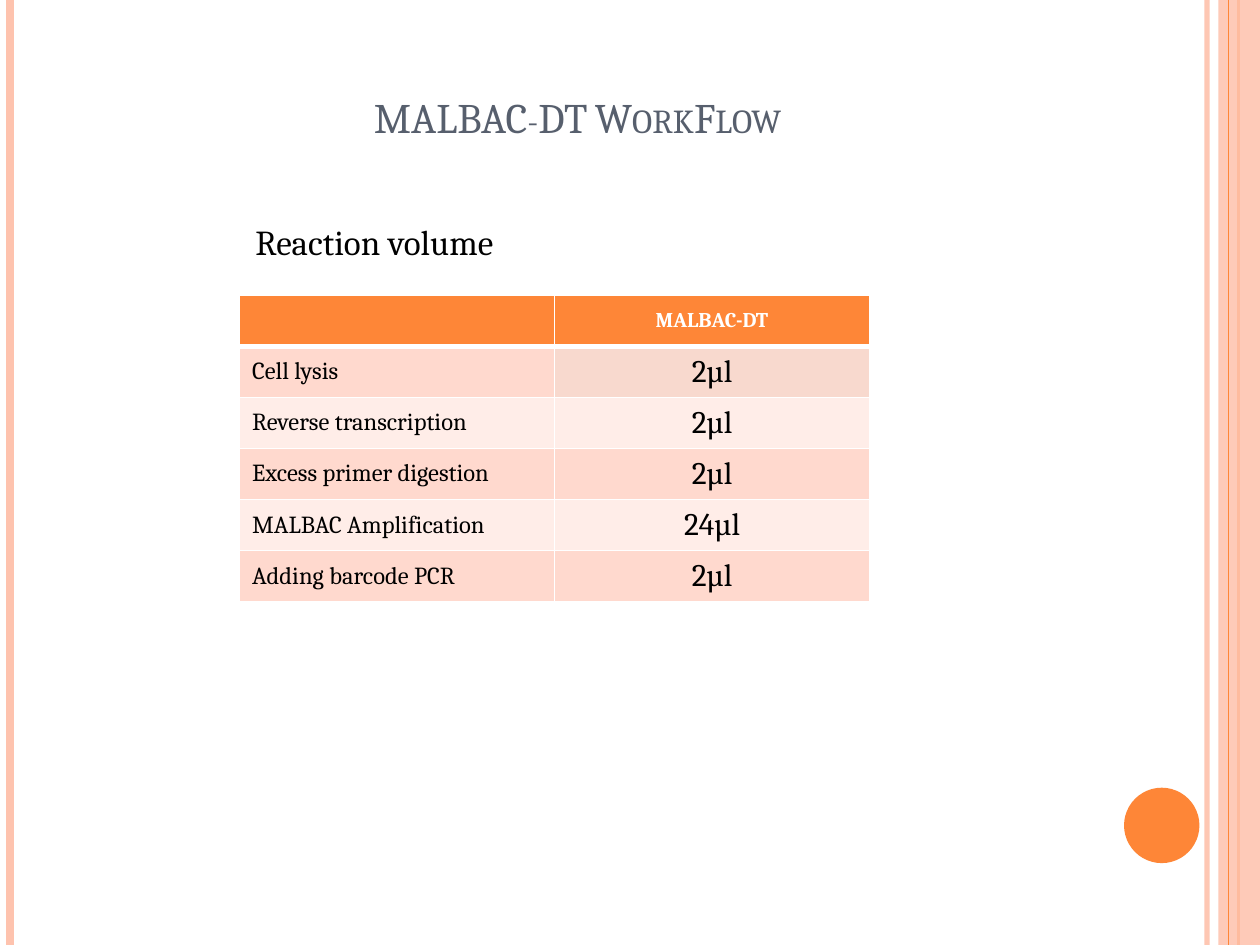
"""Build the MALBAC-DT workflow slide with its reaction volume table."""
from typing import NamedTuple

from lxml.etree import SubElement
from pptx import Presentation
from pptx.dml.color import RGBColor
from pptx.enum.shapes import MSO_CONNECTOR, MSO_SHAPE
from pptx.enum.text import MSO_ANCHOR, PP_ALIGN
from pptx.oxml.ns import qn
from pptx.util import Cm, Pt

FONT = "Cambria"
ORANGE, PEACH, WHITE, BLACK, SLATE = "FE8637", "FEC3AE", "FFFFFF", "000000", "575F6D"
DARK_BAND, LIGHT_BAND, FIRST_VALUE = "FFD9CE", "FFEDE8", "F8D9CE"
WIDTH, HEIGHT = 25.4, 19.05


class Rule(NamedTuple):
    x: float
    color: str
    weight: float
    opacity: int = 100


class Step(NamedTuple):
    name: str
    volume: str


RULES_BEHIND = [
    Rule(24.33, PEACH, 3, 93),
    Rule(0.2, PEACH, 4.5),
    Rule(24.97, ORANGE, 1.5),
]
RULE_FRONT = Rule(24.76, ORANGE, 0.75)
STEPS = [
    Step("Cell lysis", "2µl"),
    Step("Reverse transcription", "2µl"),
    Step("Excess primer digestion", "2µl"),
    Step("MALBAC Amplification", "24µl"),
    Step("Adding barcode PCR", "2µl"),
]


def rgb(color: str) -> RGBColor:
    return RGBColor.from_string(color)


def set_opacity(element, percent: int) -> None:
    clr = next(element.iter(qn("a:srgbClr")))
    SubElement(clr, qn("a:alpha"), val=str(percent * 1000))


def add_rule(shapes, rule: Rule) -> None:
    line = shapes.add_connector(
        MSO_CONNECTOR.STRAIGHT, Cm(rule.x), Cm(0), Cm(rule.x), Cm(HEIGHT))
    line.line.color.rgb = rgb(rule.color)
    line.line.width = Pt(rule.weight)
    sp_pr = line._element.spPr
    SubElement(sp_pr, qn("a:effectLst"))
    if rule.opacity < 100:
        set_opacity(sp_pr, rule.opacity)


def add_block(shapes, kind, x: float, y: float, w: float, h: float, color: str):
    sp = shapes.add_shape(kind, Cm(x), Cm(y), Cm(w), Cm(h))
    sp.shadow.inherit = False
    sp.fill.solid()
    sp.fill.fore_color.rgb = rgb(color)
    sp.line.fill.background()
    return sp


def write(tf, text: str, size: float, color: str, align=PP_ALIGN.LEFT, bold=False):
    p = tf.paragraphs[0]
    p.text = text
    p.alignment = align
    r = p.runs[0]
    r.font.name, r.font.size, r.font.bold = FONT, Pt(size), bold
    r.font.color.rgb = rgb(color)
    return r


def add_text(shapes, x: float, y: float, w: float, h: float, text: str, size: float,
             color: str, align=PP_ALIGN.LEFT, anchor=MSO_ANCHOR.TOP):
    tf = shapes.add_textbox(Cm(x), Cm(y), Cm(w), Cm(h)).text_frame
    tf.word_wrap = True
    tf.vertical_anchor = anchor
    return write(tf, text, size, color, align)


def style_cell(cell, fill: str, top: float = 1, bottom: float = 1) -> None:
    tc_pr = cell._tc.get_or_add_tcPr()
    for side, weight in (("L", 1), ("R", 1), ("T", top), ("B", bottom)):
        ln = SubElement(tc_pr, qn(f"a:ln{side}"), w=str(Pt(weight)))
        SubElement(SubElement(ln, qn("a:solidFill")), qn("a:srgbClr"), val=WHITE)
    cell.fill.solid()
    cell.fill.fore_color.rgb = rgb(fill)
    cell.vertical_anchor = MSO_ANCHOR.MIDDLE


def add_volume_table(shapes, x: float, y: float, w: float, h: float) -> None:
    table = shapes.add_table(len(STEPS) + 1, 2, Cm(x), Cm(y), Cm(w), Cm(h)).table
    for cell in table.rows[0].cells:
        style_cell(cell, ORANGE, bottom=3)
    write(table.cell(0, 1).text_frame, "MALBAC-DT", 12, WHITE, PP_ALIGN.CENTER, True)
    for i, step in enumerate(STEPS, start=1):
        band = DARK_BAND if i % 2 else LIGHT_BAND
        name, volume = table.rows[i].cells
        top = 3 if i == 1 else 1
        style_cell(name, band, top)
        style_cell(volume, FIRST_VALUE if i == 1 else band, top)
        write(name.text_frame, step.name, 14, BLACK)
        write(volume.text_frame, step.volume, 18, BLACK, PP_ALIGN.CENTER)


def main() -> None:
    prs = Presentation()
    prs.slide_width, prs.slide_height = Cm(WIDTH), Cm(HEIGHT)
    s = prs.slides.add_slide(prs.slide_layouts[6])
    shapes = s.shapes
    for rule in RULES_BEHIND:
        add_rule(shapes, rule)
    band = add_block(shapes, MSO_SHAPE.RECTANGLE, 24.56, 0, 0.84, HEIGHT, PEACH)
    set_opacity(band._element.spPr, 87)
    add_rule(shapes, RULE_FRONT)
    add_block(shapes, MSO_SHAPE.OVAL, 22.66, 15.88, 1.52, 1.52, ORANGE)
    title = add_text(shapes, 1.27, 0.76, 20.75, 3.18, "MALBAC-DT WorkFlow", 24, SLATE,
                     PP_ALIGN.CENTER, MSO_ANCHOR.MIDDLE)
    title._r.get_or_add_rPr().set("cap", "small")
    add_volume_table(shapes, 4.83, 5.95, 12.7, 6.18)
    add_text(shapes, 4.9, 4.32, 6, 1.11, "Reaction volume", 20, BLACK)
    prs.save("out.pptx")


main()
